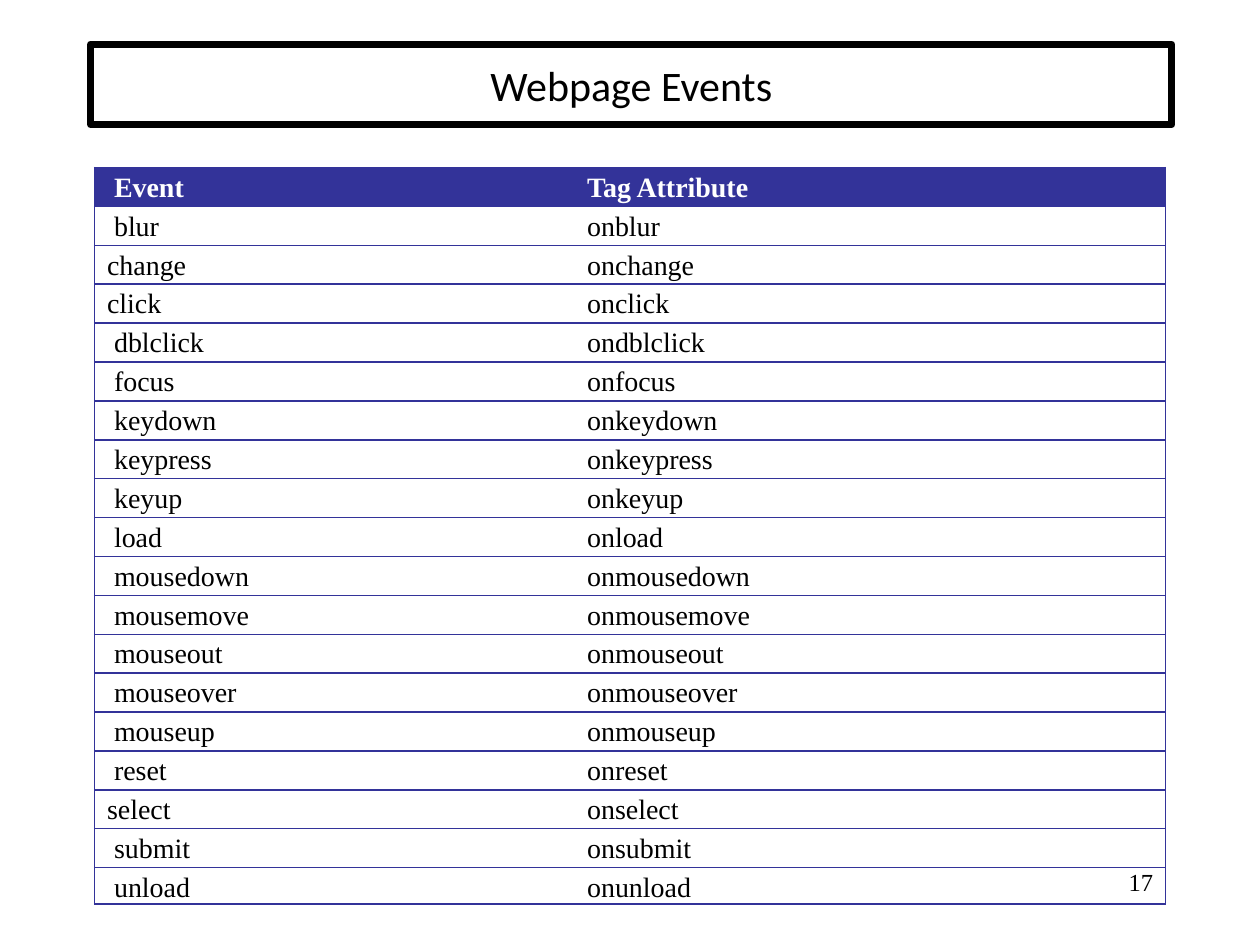
"""Build the Webpage Events slide with its table of events and tag attributes."""
from lxml.etree import SubElement
from pptx import Presentation
from pptx.dml.color import RGBColor
from pptx.enum.shapes import MSO_SHAPE as Shape
from pptx.enum.text import MSO_ANCHOR as Anchor, PP_ALIGN as Align
from pptx.oxml.ns import qn
from pptx.util import Inches, Pt

BLACK = RGBColor(0x00, 0x00, 0x00)
WHITE = RGBColor(0xFF, 0xFF, 0xFF)
INDIGO = RGBColor(0x33, 0x33, 0x99)

ROWS = [("Event", "Tag Attribute")] + [(event, f"on{event}") for event in (
    "blur", "change", "click", "dblclick", "focus", "keydown", "keypress",
    "keyup", "load", "mousedown", "mousemove", "mouseout", "mouseover",
    "mouseup", "reset", "select", "submit", "unload")]
UNINDENTED = {"change", "click", "select"}
LAST_ROW_HEIGHT = Inches(0.29)
TABLE_HEIGHT = Inches(5.85)


def write(text_frame, text, color, font_format, paragraph_format):
    paragraph = text_frame.paragraphs[0]
    for name, value in paragraph_format.items():
        setattr(paragraph, name, value)
    run = paragraph.add_run()
    run.text = text
    run.font.color.rgb = color
    for name, value in font_format.items():
        setattr(run.font, name, value)


def set_borders(cell, visible_sides):
    properties = cell._tc.get_or_add_tcPr()
    for position, side in enumerate(("lnL", "lnR", "lnT", "lnB")):
        line = properties.makeelement(qn(f"a:{side}"), {"w": str(Pt(1))})
        properties.insert(position, line)
        if side in visible_sides:
            fill = SubElement(line, qn("a:solidFill"))
            SubElement(fill, qn("a:srgbClr"), val=str(INDIGO))
        else:
            SubElement(line, qn("a:noFill"))


presentation = Presentation()
presentation.slide_width = Inches(10)
presentation.slide_height = Inches(7.5)
slide = presentation.slides.add_slide(presentation.slide_layouts[6])

title = slide.shapes.add_shape(
    Shape.RECTANGLE, Inches(0.72), Inches(0.35), Inches(8.58), Inches(0.64))
title.shadow.inherit = False
title.fill.solid()
title.fill.fore_color.rgb = WHITE
title.line.color.rgb = BLACK
title.line.width = Pt(4)
SubElement(title.line._get_or_add_ln(), qn("a:round"))
title.text_frame.vertical_anchor = Anchor.MIDDLE
write(title.text_frame, "Webpage Events", BLACK,
      {"name": "Calibri", "size": Pt(24)}, {"alignment": Align.CENTER})

table = slide.shapes.add_table(
    len(ROWS), 2, Inches(0.75), Inches(1.33), Inches(8.5), TABLE_HEIGHT).table
for column, width in zip(table.columns, (3.81, 4.69)):
    column.width = Inches(width)
for row in table.rows:
    row.height = (TABLE_HEIGHT - LAST_ROW_HEIGHT) // (len(ROWS) - 1)
table.rows[len(ROWS) - 1].height = LAST_ROW_HEIGHT

cell_format = {"margin_left": Inches(0.1), "margin_right": Inches(0.1),
               "margin_top": 0, "margin_bottom": 0}
for row_index, (event, attribute) in enumerate(ROWS):
    is_header = row_index == 0
    label = event if event in UNINDENTED else f" {event}"
    for column_index, text in enumerate((label, attribute)):
        cell = table.cell(row_index, column_index)
        for name, value in cell_format.items():
            setattr(cell, name, value)
        cell.fill.solid()
        cell.fill.fore_color.rgb = INDIGO if is_header else WHITE
        set_borders(cell, {"lnT", "lnB", ("lnL", "lnR")[column_index]})
        write(cell.text_frame, text, WHITE if is_header else BLACK,
              {"name": "Times New Roman", "size": Pt(16), "bold": is_header},
              {"line_spacing": 1.15})

slide_number = slide.shapes.add_textbox(
    Inches(7.17), Inches(6.83), Inches(2.08), Inches(0.5))
slide_number.text_frame.word_wrap = True
write(slide_number.text_frame, "17", BLACK,
      {"name": "Times New Roman", "size": Pt(14)}, {"alignment": Align.RIGHT})

presentation.save("out.pptx")
